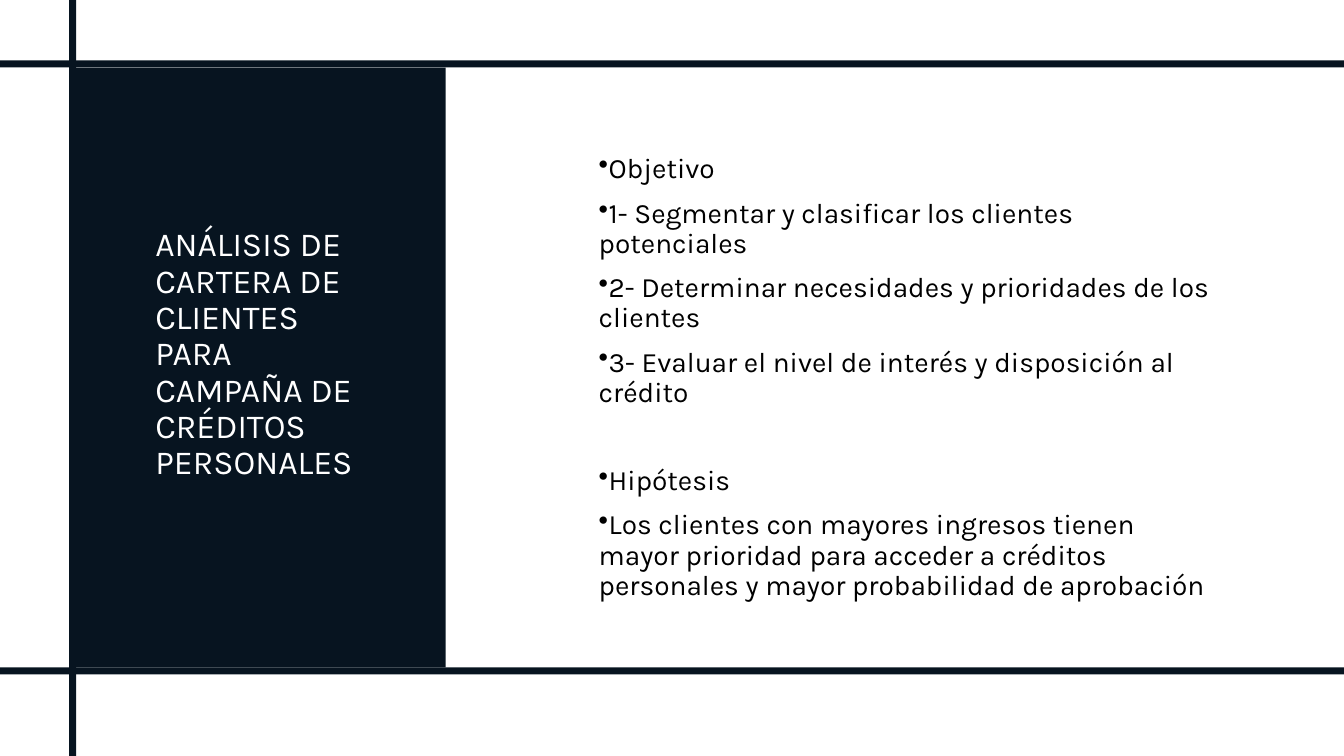
from lxml import etree
from pptx import Presentation
from pptx.dml.color import RGBColor
from pptx.enum.shapes import MSO_SHAPE
from pptx.enum.text import MSO_ANCHOR, MSO_AUTO_SIZE, PP_ALIGN
from pptx.oxml.ns import qn
from pptx.util import Inches, Pt

RECTANGLE = MSO_SHAPE.RECTANGLE
MIDDLE = MSO_ANCHOR.MIDDLE
NO_AUTOFIT = MSO_AUTO_SIZE.NONE
LEFT = PP_ALIGN.LEFT

# Content
TITLE = "ANÁLISIS DE CARTERA DE CLIENTES PARA CAMPAÑA DE CRÉDITOS PERSONALES"
SECTIONS = [
    ["Objetivo",
     "1- Segmentar y clasificar los clientes potenciales",
     "2- Determinar necesidades y prioridades de los clientes",
     "3- Evaluar el nivel de interés y disposición al crédito"],
    ["Hipótesis",
     "Los clientes con mayores ingresos tienen mayor prioridad para acceder "
     "a créditos personales y mayor probabilidad de aprobación"],
]

# Style and layout, lengths in inches
COLORS = {"navy": "071420", "white": "FFFFFF", "black": "000000"}
FONT = "Karla"
SLIDE_W, SLIDE_H = 13.33, 7.5
BAR = 0.07
PANEL = (0.72, 0.67, 3.7, 5.95)
TITLE_BOX = (1.44, 1.1, 2.22, 4.84)
GOALS_BOX = (5.84, 1.41, 6.34, 4.68)
ITEM_GAP, SECTION_GAP = 10, 41.4  # points


def color(name):
    return RGBColor.from_string(COLORS[name])


def add_block(slide, box):
    block = slide.shapes.add_shape(RECTANGLE, *map(Inches, box))
    block.shadow.inherit = False
    block.fill.solid()
    block.fill.fore_color.rgb = color("navy")
    block.line.fill.background()
    return block


def prepare_frame(frame):
    frame.word_wrap = True
    frame.auto_size = NO_AUTOFIT
    frame.vertical_anchor = MIDDLE


def style_paragraph(paragraph, size, color_name, gap):
    paragraph.alignment = LEFT
    paragraph.line_spacing = 0.9
    paragraph.space_before = Pt(gap)
    paragraph.font.name = FONT
    paragraph.font.size = Pt(size)
    paragraph.font.color.rgb = color(color_name)


def add_bullet(paragraph):
    properties = paragraph._p.get_or_add_pPr()
    properties.set("marL", "0")
    properties.set("indent", str(-Inches(0.25)))
    bullet = etree.Element(qn("a:buChar"), char="•")
    properties.find(qn("a:defRPr")).addprevious(bullet)


def main():
    deck = Presentation()
    deck.slide_width, deck.slide_height = Inches(SLIDE_W), Inches(SLIDE_H)
    slide = deck.slides.add_slide(deck.slide_layouts[5])

    # Title on the dark panel
    panel = add_block(slide, PANEL)
    title = slide.shapes.title
    panel._element.addnext(title._element)
    title.left, title.top, title.width, title.height = map(Inches, TITLE_BOX)
    title.text_frame.text = TITLE
    prepare_frame(title.text_frame)
    style_paragraph(title.text_frame.paragraphs[0], 24, "white", 0)

    # Goals and hypothesis
    goals = slide.shapes.add_textbox(*map(Inches, GOALS_BOX)).text_frame
    prepare_frame(goals)
    goals.text = "\n".join(item for section in SECTIONS for item in section)
    gaps = [SECTION_GAP if number and item == section[0] else ITEM_GAP
            for number, section in enumerate(SECTIONS) for item in section]
    for paragraph, gap in zip(goals.paragraphs, gaps):
        style_paragraph(paragraph, 20, "black", gap)
        add_bullet(paragraph)

    # Crossing bars along the panel's edges
    panel_left, panel_top, _, panel_height = PANEL
    for bar in [
        (0, panel_top + panel_height, SLIDE_W, BAR),
        (panel_left - BAR / 2, 0, BAR, SLIDE_H),
        (0, panel_top - BAR, SLIDE_W, BAR),
    ]:
        add_block(slide, bar)

    deck.save("out.pptx")


if __name__ == "__main__":
    main()
